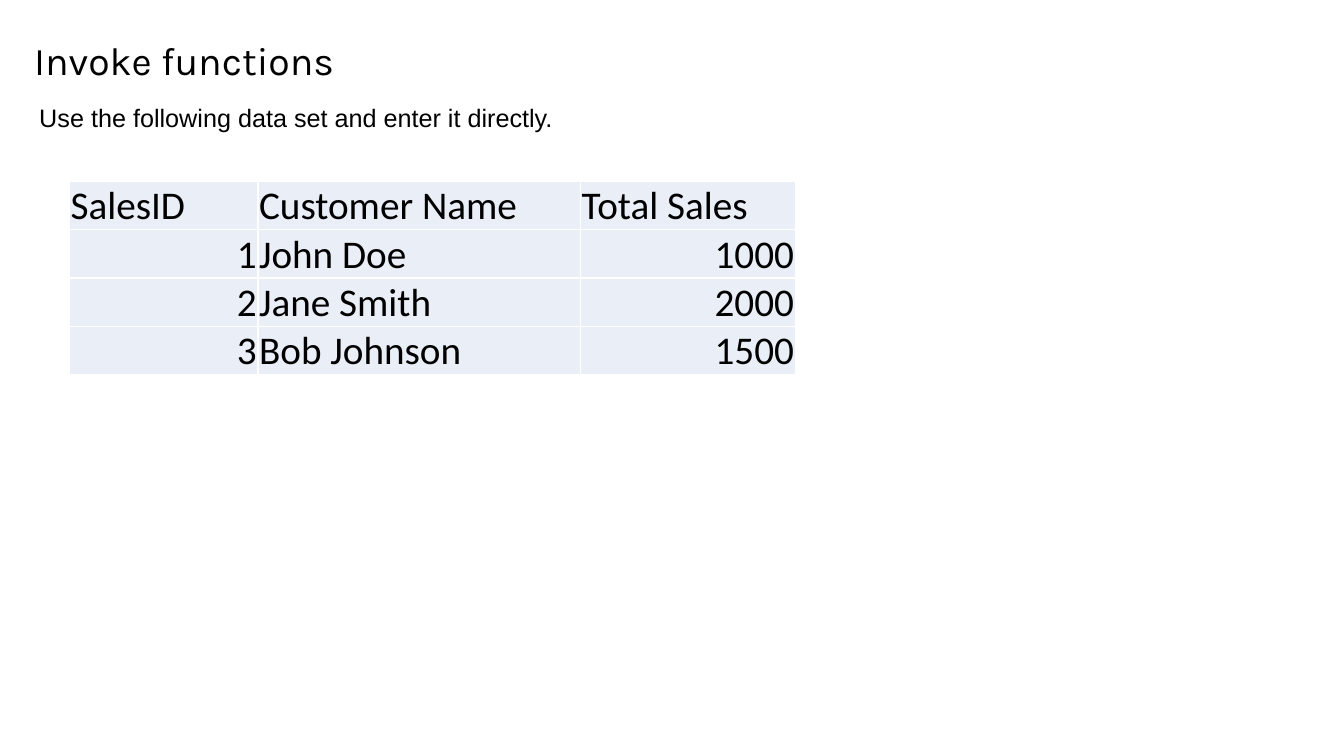
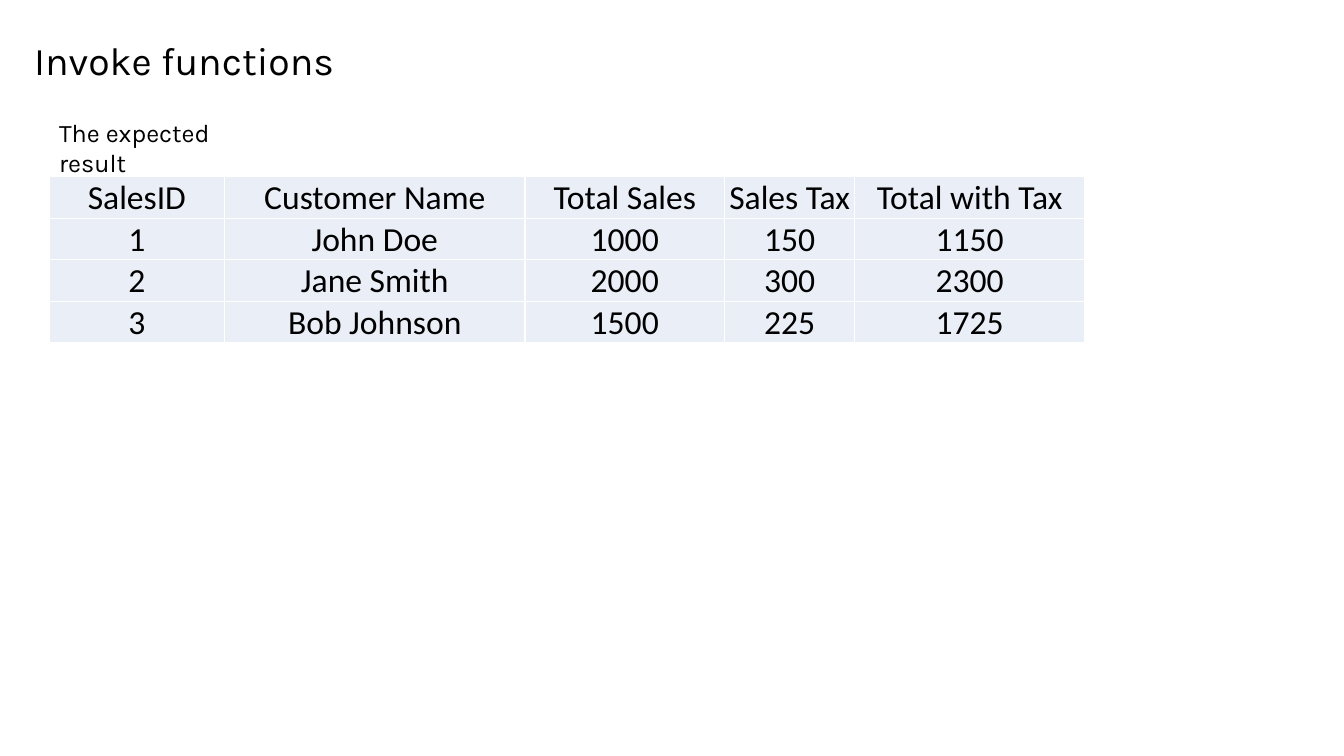
from dataclasses import dataclass

from lxml import etree
from pptx import Presentation
from pptx import util as u
from pptx.dml.color import RGBColor
from pptx.enum import text
from pptx.oxml import ns


@dataclass(frozen=True)
class Theme:
    ink: str = "000000"
    cell: str = "EAEFF7"
    border: str = "FFFFFF"
    title_font: str = "Karla"
    note_font: str = "Arial"
    table_font: str = "Calibri"
    title_size: int = 28
    note_size: int = 18
    input_size: int = 28
    result_size: int = 24


THEME = Theme()
LEFT, CENTER, RIGHT = text.PP_ALIGN.LEFT, text.PP_ALIGN.CENTER, text.PP_ALIGN.RIGHT
TOP, MIDDLE, BOTTOM = text.MSO_ANCHOR.TOP, text.MSO_ANCHOR.MIDDLE, text.MSO_ANCHOR.BOTTOM

prs = Presentation()
prs.slide_width, prs.slide_height = u.Cm(33.87), u.Cm(19.05)


def write(paragraph, words, font, size, align=LEFT):
    paragraph.alignment = align
    run = paragraph.add_run()
    run.text = words
    run.font.name = font
    run.font.size = u.Pt(size)
    run.font.color.rgb = RGBColor.from_string(THEME.ink)


def add_label(slide, box, words, font, size, anchor=TOP):
    frame = slide.shapes.add_textbox(*(u.Cm(length) for length in box)).text_frame
    frame.word_wrap = True
    frame.auto_size = text.MSO_AUTO_SIZE.SHAPE_TO_FIT_TEXT
    frame.vertical_anchor = anchor
    write(frame.paragraphs[0], words, font, size)


# Content: sales as entered, then with tax added
sales = [
    ("SalesID", "Customer Name", "Total Sales"),
    ("1", "John Doe", "1000"),
    ("2", "Jane Smith", "2000"),
    ("3", "Bob Johnson", "1500"),
]
taxes = [
    ("Sales Tax", "Total with Tax"),
    ("150", "1150"),
    ("300", "2300"),
    ("225", "1725"),
]
exercises = [
    dict(
        note="Use the following data set and enter it directly.",
        note_box=(0.74, 2.46, 20.75, 1.02), note_font=THEME.note_font, note_anchor=MIDDLE,
        rows=sales, origin=(1.75, 4.57), widths=(4.75, 8.13, 5.41), row_height=1.2,
        size=THEME.input_size, anchor=BOTTOM, word_align=LEFT, number_align=RIGHT,
    ),
    dict(
        note="The expected result",
        note_box=(1.24, 2.82, 5.79, 1.02), note_font=THEME.title_font, note_anchor=TOP,
        rows=[sale + tax for sale, tax in zip(sales, taxes)],
        origin=(1.24, 4.45), widths=(4.42, 7.57, 5.03, 3.28, 5.79), row_height=1.03,
        size=THEME.result_size, anchor=MIDDLE, word_align=CENTER, number_align=CENTER,
    ),
]

for exercise in exercises:
    slide = prs.slides.add_slide(prs.slide_layouts[6])

    # Title and note
    add_label(slide, (0.61, 0.79, 11.1, 1.45), "Invoke functions",
              THEME.title_font, THEME.title_size)
    add_label(slide, exercise["note_box"], exercise["note"],
              exercise["note_font"], THEME.note_size, exercise["note_anchor"])

    # Table grid
    rows, widths, row_height = exercise["rows"], exercise["widths"], exercise["row_height"]
    left, top = exercise["origin"]
    sales_table = slide.shapes.add_table(
        len(rows), len(widths), u.Cm(left), u.Cm(top),
        u.Cm(sum(widths)), u.Cm(row_height * len(rows))).table
    for column, width in zip(sales_table.columns, widths):
        column.width = u.Cm(width)
    for row in sales_table.rows:
        row.height = u.Cm(row_height)

    # Table cells
    for r, values in enumerate(rows):
        for c, value in enumerate(values):
            cell = sales_table.cell(r, c)
            cell.margin_left = cell.margin_right = cell.margin_top = u.Cm(0.03)
            cell.margin_bottom = u.Cm(0)
            cell.vertical_anchor = exercise["anchor"]
            for side in ("lnL", "lnR", "lnT", "lnB"):
                line = etree.SubElement(cell._tc.get_or_add_tcPr(), ns.qn(f"a:{side}"),
                                        w=str(u.Pt(1)))
                paint = etree.SubElement(line, ns.qn("a:solidFill"))
                etree.SubElement(paint, ns.qn("a:srgbClr"), val=THEME.border)
            cell.fill.solid()
            cell.fill.fore_color.rgb = RGBColor.from_string(THEME.cell)
            align = exercise["number_align" if value.isdigit() else "word_align"]
            write(cell.text_frame.paragraphs[0], value, THEME.table_font,
                  exercise["size"], align)

prs.save("out.pptx")
